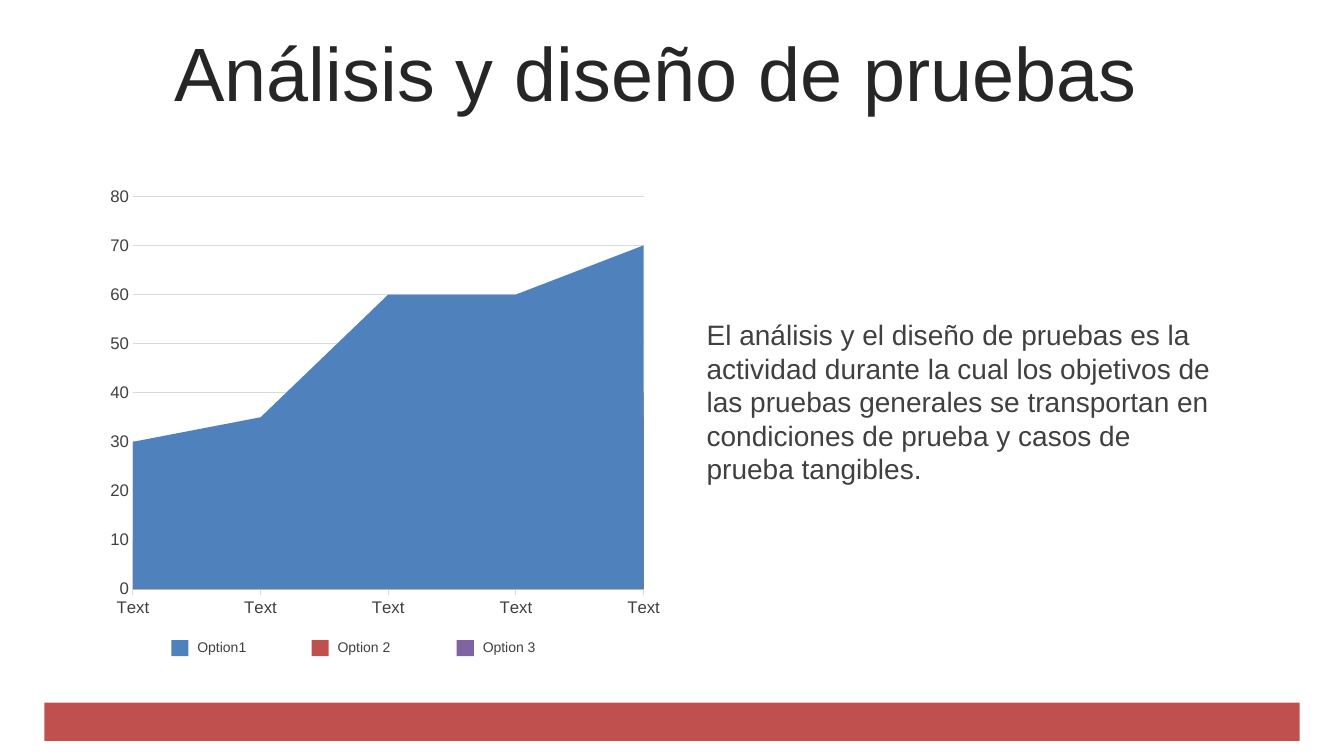
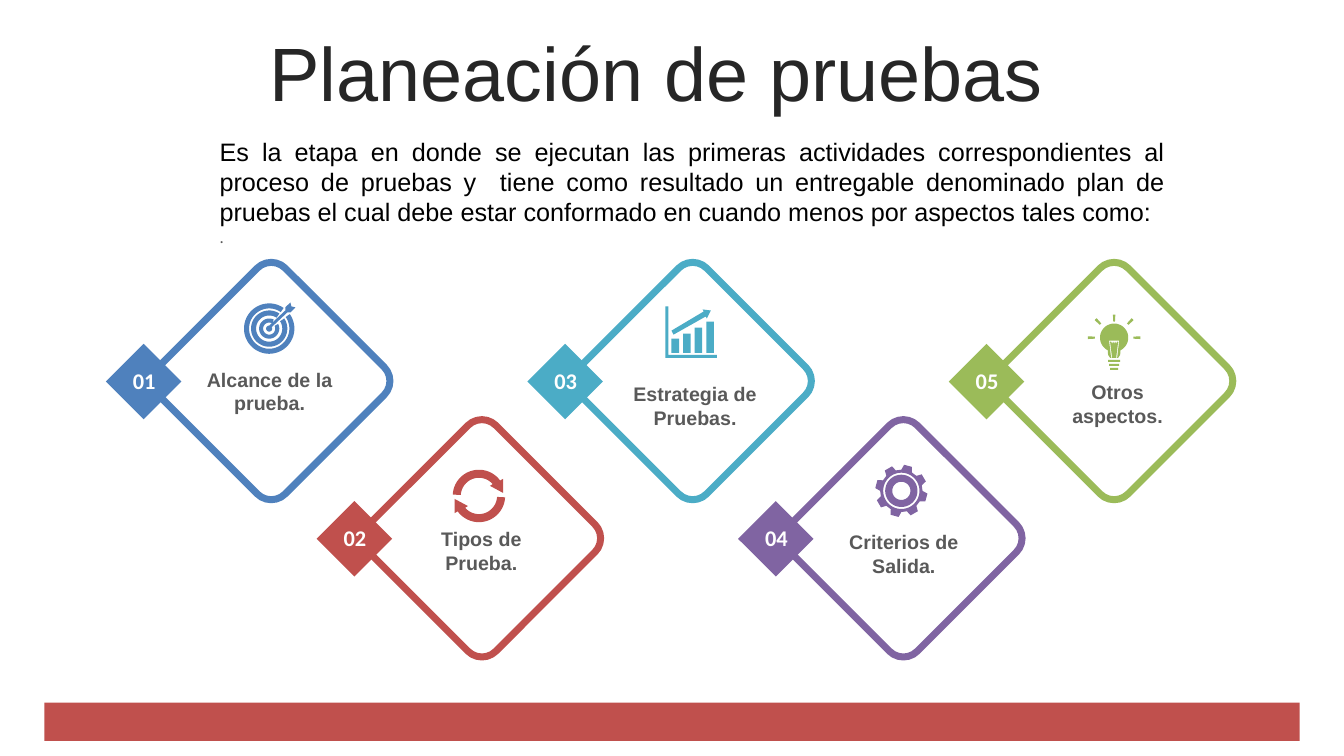
"""Builds two slides about software testing: an area chart and a five-step diamond layout."""
import math

import pptx
import pptx.chart.data
import pptx.dml.color
import pptx.enum.chart
import pptx.enum.shapes
import pptx.enum.text
import pptx.util

Inches = pptx.util.Inches
Pt = pptx.util.Pt
ALIGN = pptx.enum.text.PP_ALIGN
ANCHOR = pptx.enum.text.MSO_ANCHOR
SHAPE = pptx.enum.shapes.MSO_SHAPE

BLUE, RED, TEAL, PURPLE, GREEN = "4F81BD", "C0504D", "4BACC6", "8064A2", "9BBB59"
WHITE, BLACK, GRID = "FFFFFF", "000000", "D9D9D9"
TITLE_GREY, TEXT_GREY, LABEL_GREY = "262626", "404040", "595959"

ANALYSIS_TITLE = "Análisis y diseño de pruebas"
ANALYSIS_TEXT = (
    "El análisis y el diseño de pruebas es la actividad durante la cual los objetivos de "
    "las pruebas generales se transportan en condiciones de prueba y casos de prueba tangibles."
)
CATEGORIES = ["Text"] * 5
SERIES = [
    ("Series 1", (30, 35, 60, 60, 70), BLUE),
    ("Series 2", (30, 25, 35, 30, 40), RED),
    ("Series 3", (10, 15, 25, 30, 35), PURPLE),
]
LEGEND = [("Option1", BLUE, 1.7), ("Option 2", RED, 3.09), ("Option 3", PURPLE, 4.53)]

PLANNING_TITLE = "Planeación de pruebas"
PLANNING_TEXT = (
    "Es la etapa en donde se ejecutan las primeras actividades correspondientes al proceso "
    "de pruebas y  tiene como resultado un entregable denominado plan de pruebas el cual "
    "debe estar conformado en cuando menos por aspectos tales como:"
)
STEPS = [
    ("Alcance de la prueba.", BLUE, 1.86, 3.6),
    ("Tipos de Prueba.", RED, 3.96, 5.18),
    ("Estrategia de Pruebas.", TEAL, 6.08, 3.74),
    ("Criterios de Salida.", PURPLE, 8.15, 5.21),
    ("Otros aspectos.", GREEN, 10.27, 3.72),
]
STEP_LEFT, STEP_PITCH, STEP_TOPS, STEP_SIZE = 1.8, 2.09, (2.89, 4.45), 1.78


def color(value):
    return pptx.dml.color.RGBColor.from_string(value)


def box(left, top, width, height):
    return [Inches(value) for value in (left, top, width, height)]


def paint(shape, fill, line=None, weight=1):
    shape.shadow.inherit = False
    shape.fill.solid()
    shape.fill.fore_color.rgb = color(fill)
    if line:
        shape.line.color.rgb = color(line)
        shape.line.width = Pt(weight)
    else:
        shape.line.fill.background()


def add_block(slide, area, fill, line=None, weight=1, preset=SHAPE.RECTANGLE, rotation=0):
    shape = slide.shapes.add_shape(preset, *box(*area))
    shape.rotation = rotation
    paint(shape, fill, line, weight)
    return shape


def style_font(font, size, ink, name="Arial", bold=False):
    font.size = Pt(size)
    font.name = name
    font.bold = bold
    font.color.rgb = color(ink)


def add_paragraph(paragraph, text, size, ink, align=ALIGN.LEFT, name="Arial", bold=False):
    paragraph.alignment = align
    run = paragraph.add_run()
    run.text = text
    style_font(run.font, size, ink, name, bold)
    return paragraph


def add_text(slide, area, text, size, ink, anchor=ANCHOR.TOP, **style):
    frame = slide.shapes.add_textbox(*box(*area)).text_frame
    frame.word_wrap = True
    frame.vertical_anchor = anchor
    add_paragraph(frame.paragraphs[0], text, size, ink, **style)
    return frame


def add_base_slide(presentation, title):
    slide = presentation.slides.add_slide(presentation.slide_layouts[6])
    add_block(slide, (0.44, 6.97, 12.45, 0.38), RED)
    frame = add_text(slide, (0, 0.37, 13.01, 0.79), title, 54, TITLE_GREY,
                     ANCHOR.MIDDLE, align=ALIGN.CENTER)
    frame.paragraphs[0].line_spacing = 0.9
    frame.paragraphs[0].space_before = Pt(10)
    return slide


def arc(center, radius, start=0, end=360):
    steps = max(2, math.ceil(abs(end - start) / 6))
    angles = [math.radians(start + (end - start) * step / steps) for step in range(steps + 1)]
    return [(center[0] + radius * math.cos(angle), center[1] + radius * math.sin(angle))
            for angle in angles]


def rectangle(left, top, right, bottom):
    return [(left, top), (right, top), (right, bottom), (left, bottom)]


def target_outlines():
    center = (2.67, 3.26)
    rings = [(0.25, 0.2, 10), (0.18, 0.13, 11), (0.1, 0.06, 18)]
    outlines = [arc(center, outer, gap - 45, 315 - gap) + arc(center, inner, 315 - gap, gap - 45)
                for outer, inner, gap in rings]
    dart = [(2.83, 3.08), (2.83, 3.05), (2.88, 3), (2.89, 3.04), (2.93, 3.05), (2.88, 3.1),
            (2.85, 3.1), (2.69, 3.25)]
    return outlines + [dart + arc(center, 0.03, -20, 270)]


def cycle_outlines():
    center = (4.75, 4.92)
    head = [(-0.24, 0.17), (-0.24, 0.03), (-0.11, 0.1), (-0.14, 0.12)]
    return [
        arc(center, 0.26, turn + 3, turn + 144)
        + [(center[0] + sign * x, center[1] + sign * y) for x, y in head]
        + arc(center, 0.18, turn + 141, turn + 3)
        for turn, sign in ((0, 1), (180, -1))
    ]


def growth_outlines():
    tops = (3.36, 3.31, 3.25, 3.19)
    bars = [rectangle(6.66 + 0.115 * index, top, 6.735 + 0.115 * index, 3.5)
            for index, top in enumerate(tops)]
    arrow = [(6.97, 3.07), (7.05, 3.08), (7.01, 3.16), (7, 3.14), (6.68, 3.32),
             (6.66, 3.28), (6.98, 3.09)]
    axes = [(6.6, 3.04), (6.63, 3.04), (6.63, 3.52), (7.11, 3.52), (7.11, 3.55), (6.6, 3.55)]
    return bars + [arrow, axes]


def gear_outlines():
    center = (8.94, 4.87)
    teeth = []
    for middle in range(-75, 285, 45):
        for radius, offset in ((0.21, -15), (0.26, -9), (0.26, 9), (0.21, 15)):
            teeth.append(arc(center, radius, middle + offset, middle + offset)[0])
    return [teeth] + [arc(center, radius) for radius in (0.18, 0.16, 0.09)]


def bulb_outlines():
    center = (11.05, 3.35)
    glass = arc(center, 0.14, 117, 423) + [(11.11, 3.52), (11.09, 3.55), (11.01, 3.55), (10.99, 3.52)]
    filament = [(11, 3.38), (11.1, 3.38), (11.08, 3.55), (11.07, 3.55), (11.09, 3.39),
                (11.08, 3.39), (11.07, 3.41), (11.06, 3.39), (11.05, 3.41), (11.04, 3.39),
                (11.03, 3.41), (11.02, 3.39), (11.01, 3.39), (11.03, 3.55), (11.02, 3.55)]
    base = [rectangle(center[0] - half, top, center[0] + half, top + 0.02)
            for half, top in ((0.06, 3.57), (0.05, 3.61), (0.04, 3.65))]
    rays = []
    for angle, inner in ((180, 0.19), (225, 0.19), (270, 0.16), (315, 0.19), (360, 0.19)):
        rays.append(arc(center, inner, angle - 3, angle + 3)
                    + arc(center, inner + 0.07, angle + 3, angle - 3))
    return [glass, filament] + base + rays


def add_icon(slide, outlines, fill):
    contours = [[(Inches(x), Inches(y)) for x, y in outline] for outline in outlines]
    builder = slide.shapes.build_freeform(*contours[0][0])
    builder.add_line_segments(contours[0][1:], close=True)
    for contour in contours[1:]:
        builder.move_to(*contour[0])
        builder.add_line_segments(contour[1:], close=True)
    paint(builder.convert_to_shape(), fill)


def add_area_chart(slide):
    data = pptx.chart.data.CategoryChartData()
    data.categories = CATEGORIES
    for name, values, _ in SERIES:
        data.add_series(name, values)
    chart = slide.shapes.add_chart(
        pptx.enum.chart.XL_CHART_TYPE.AREA, *box(0.98, 1.77, 5.68, 4.44), data).chart
    chart.has_legend = False
    chart.has_title = False
    style_font(chart.font, 10, BLACK)
    plot = chart.plots[0]
    plot.vary_by_categories = False
    for series, (_, _, fill) in zip(plot.series, SERIES):
        series.format.fill.solid()
        series.format.fill.fore_color.rgb = color(fill)
    tick = pptx.enum.chart.XL_TICK_MARK
    category_axis, value_axis = chart.category_axis, chart.value_axis
    for axis, mark in ((category_axis, tick.OUTSIDE), (value_axis, tick.NONE)):
        axis.major_tick_mark = mark
        axis.minor_tick_mark = tick.NONE
        style_font(axis.tick_labels.font, 12, TEXT_GREY)
    category_axis.has_major_gridlines = False
    value_axis.has_major_gridlines = True
    for line in (category_axis.format.line, value_axis.major_gridlines.format.line):
        line.color.rgb = color(GRID)
        line.width = Pt(0.75)
    value_axis.format.line.fill.background()
    value_axis.minimum_scale, value_axis.maximum_scale, value_axis.major_unit = 0, 80, 10


def add_analysis_slide(presentation):
    slide = add_base_slide(presentation, ANALYSIS_TITLE)
    add_area_chart(slide)
    for name, fill, left in LEGEND:
        add_block(slide, (left, 6.35, 0.17, 0.16), fill)
        add_text(slide, (left + 0.16, 6.28, 1.26, 0.27), name, 10, TEXT_GREY, ANCHOR.MIDDLE)
    add_text(slide, (6.91, 3.1, 5.29, 1.78), ANALYSIS_TEXT, 20, TEXT_GREY)


def add_planning_slide(presentation):
    slide = add_base_slide(presentation, PLANNING_TITLE)
    frame = add_text(slide, (2.08, 1.3, 9.57, 1.21), PLANNING_TEXT, 18, BLACK, align=ALIGN.JUSTIFY)
    add_paragraph(frame.add_paragraph(), ".", 12, LABEL_GREY, ALIGN.JUSTIFY, "Calibri")
    icons = [target_outlines(), cycle_outlines(), growth_outlines(), gear_outlines(), bulb_outlines()]
    for index, ((label, accent, label_left, label_top), outlines) in enumerate(zip(STEPS, icons)):
        left = STEP_LEFT + STEP_PITCH * index
        top = STEP_TOPS[index % 2]
        diamond = add_block(slide, (left, top, STEP_SIZE, STEP_SIZE), WHITE, accent, 5,
                            SHAPE.ROUNDED_RECTANGLE, 315)
        diamond.adjustments[0] = 0.11
        add_block(slide, (left - 0.64, top + 0.63, 0.53, 0.53), accent, rotation=315)
        add_text(slide, (left - 0.63, top + 0.7, 0.52, 0.37), f"{index + 1:02}", 16, WHITE,
                 ANCHOR.MIDDLE, align=ALIGN.CENTER, name="Calibri", bold=True)
        add_text(slide, (label_left, label_top, 1.63, 0.57), label, 14, LABEL_GREY,
                 align=ALIGN.CENTER, bold=True)
        add_icon(slide, outlines, accent)


def main():
    presentation = pptx.Presentation()
    presentation.slide_width, presentation.slide_height = Inches(13.33), Inches(7.5)
    add_analysis_slide(presentation)
    add_planning_slide(presentation)
    presentation.save("out.pptx")


if __name__ == "__main__":
    main()
